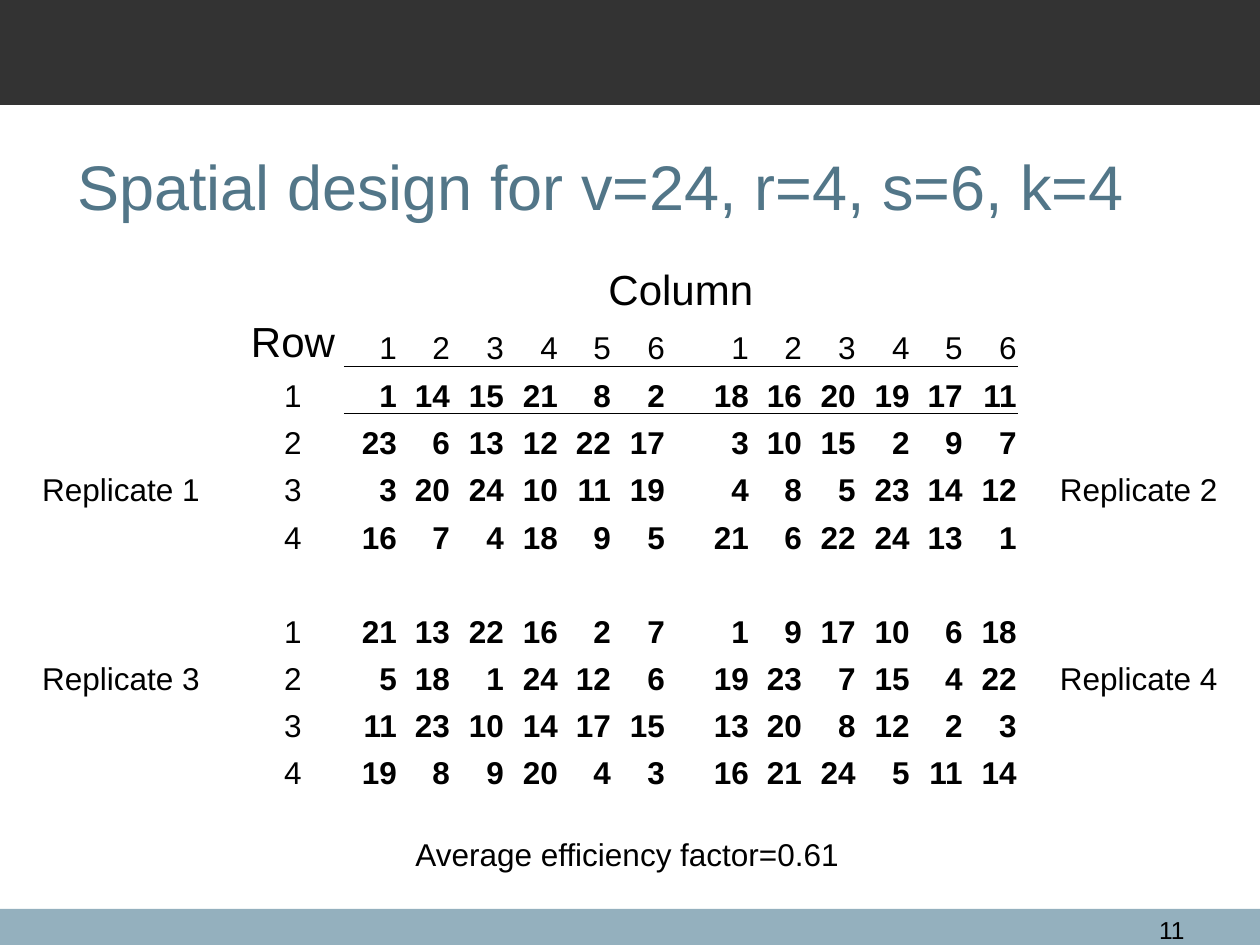
from pptx import Presentation
from pptx.dml.color import RGBColor
from pptx.enum.shapes import MSO_SHAPE
from pptx.enum.text import MSO_ANCHOR, PP_ALIGN
from pptx.oxml import parse_xml
from pptx.oxml.ns import nsdecls
from pptx.util import Emu, Pt

SCALE = 914400 // 126
WIDTH, HEIGHT = 1260, 945
FONT = "Arial"
BLACK = "000000"
PLAIN_TABLE = "{2D5ABB26-0587-4C30-8999-92F81FD0307C}"
PLOTS = 6
GAP = 8  # column between the two replicates
LABEL_ROWS = {4: ("Replicate 1", "Replicate 2"), 8: ("Replicate 3", "Replicate 4")}

# Each band holds two replicates side by side
BANDS = {
    2: [
        ([1, 14, 15, 21, 8, 2], [18, 16, 20, 19, 17, 11]),
        ([23, 6, 13, 12, 22, 17], [3, 10, 15, 2, 9, 7]),
        ([3, 20, 24, 10, 11, 19], [4, 8, 5, 23, 14, 12]),
        ([16, 7, 4, 18, 9, 5], [21, 6, 22, 24, 13, 1]),
    ],
    7: [
        ([21, 13, 22, 16, 2, 7], [1, 9, 17, 10, 6, 18]),
        ([5, 18, 1, 24, 12, 6], [19, 23, 7, 15, 4, 22]),
        ([11, 23, 10, 14, 17, 15], [13, 20, 8, 12, 2, 3]),
        ([19, 8, 9, 20, 4, 3], [16, 21, 24, 5, 11, 14]),
    ],
}


def px(length):
    return Emu(round(length * SCALE))


def colour(value):
    return RGBColor.from_string(value)


def write(frame, text, size, align=PP_ALIGN.LEFT, bold=False, ink=BLACK):
    para = frame.paragraphs[0]
    para.alignment = align
    span = para.add_run()
    span.text = text
    span.font.name = FONT
    span.font.size = Pt(size)
    span.font.bold = bold
    span.font.color.rgb = colour(ink)


def add_band(page, box, fill):
    band = page.shapes.add_shape(MSO_SHAPE.RECTANGLE, *map(px, box))
    band.shadow.inherit = False
    band.fill.solid()
    band.fill.fore_color.rgb = colour(fill)
    band.line.fill.background()


def add_label(page, box, text, size, anchor=MSO_ANCHOR.TOP, **style):
    frame = page.shapes.add_textbox(*map(px, box)).text_frame
    frame.word_wrap = True
    frame.vertical_anchor = anchor
    write(frame, text, size, **style)


def add_rule(cell, side):
    cell._tc.get_or_add_tcPr().insert(0, parse_xml(
        f'<a:{side} {nsdecls("a")} w="6350"><a:solidFill>'
        f'<a:srgbClr val="{BLACK}"/></a:solidFill></a:{side}>'))


def split(total, count):
    """Whole-pixel parts that add up to the total."""
    edges = [round(total * i / count) for i in range(count + 1)]
    return [end - start for start, end in zip(edges, edges[1:])]


def add_design(page, box):
    left, top, width, height = box
    side, row_label, gap = 242, 102, 30
    plots = split(width - 2 * side - row_label - gap, 2 * PLOTS)
    widths = [side, row_label, *plots[:PLOTS], gap, *plots[PLOTS:], side]
    heights = split(height, 12)
    table = page.shapes.add_table(len(heights), len(widths), *map(px, box)).table
    table._tbl.tblPr.find("{*}tableStyleId").text = PLAIN_TABLE
    table.first_row = table.horz_banding = False
    for column, size in zip(table.columns, widths):
        column.width = px(size)
    for row, size in zip(table.rows, heights):
        row.height = px(size)
    for cell in table.iter_cells():
        cell.fill.background()
        cell.vertical_anchor = MSO_ANCHOR.BOTTOM
        cell.margin_left = cell.margin_right = cell.margin_top = px(1)
        cell.margin_bottom = 0

    def put(row, column, value, size=18, align=PP_ALIGN.CENTER, bold=False):
        write(table.cell(row, column).text_frame, str(value), size, align, bold)

    def put_plots(row, halves, bold):
        for start, half in zip((2, GAP + 1), halves):
            for column, value in enumerate(half, start):
                put(row, column, value, align=PP_ALIGN.RIGHT, bold=bold)

    # Headings and the rule below them
    table.cell(0, 2).merge(table.cell(0, 14))
    put(0, 2, "Column", 24)
    put(1, 1, "Row", 24)
    put_plots(1, [range(1, PLOTS + 1)] * 2, False)
    for column in range(2, 15):
        add_rule(table.cell(1, column), "lnB")
        add_rule(table.cell(2, column), "lnT")

    # Replicates
    for first, lines in BANDS.items():
        for number, halves in enumerate(lines, 1):
            row = first + number - 1
            put(row, 1, number)
            put_plots(row, halves, True)
    for row, names in LABEL_ROWS.items():
        for column, name in zip((0, 15), names):
            put(row, column, name)


def build_slide(page, box):
    left, top, width, height = box
    bottom = top + height
    # Bands, then title and page number
    add_band(page, (left, bottom - 36, width, 36), "94B0BE")
    add_band(page, (left, top, width, 105), "333333")
    add_label(page, (left + 65, top + 106, 1134, 158),
              "Spatial design for v=24, r=4, s=6, k=4", 36,
              MSO_ANCHOR.MIDDLE, ink="527688")
    add_label(page, (left + 1116, bottom - 36, 81, 30), "11", 14,
              align=PP_ALIGN.RIGHT)
    # Design and its efficiency
    add_design(page, (left, top + 263, width, 567))
    add_label(page, (left + 403, top + 829, 470, 50),
              "Average efficiency factor=0.61", 18)


deck = Presentation()
deck.slide_width, deck.slide_height = px(WIDTH), px(HEIGHT)
build_slide(deck.slides.add_slide(deck.slide_layouts[6]), (0, 0, WIDTH, HEIGHT))
deck.save("out.pptx")
